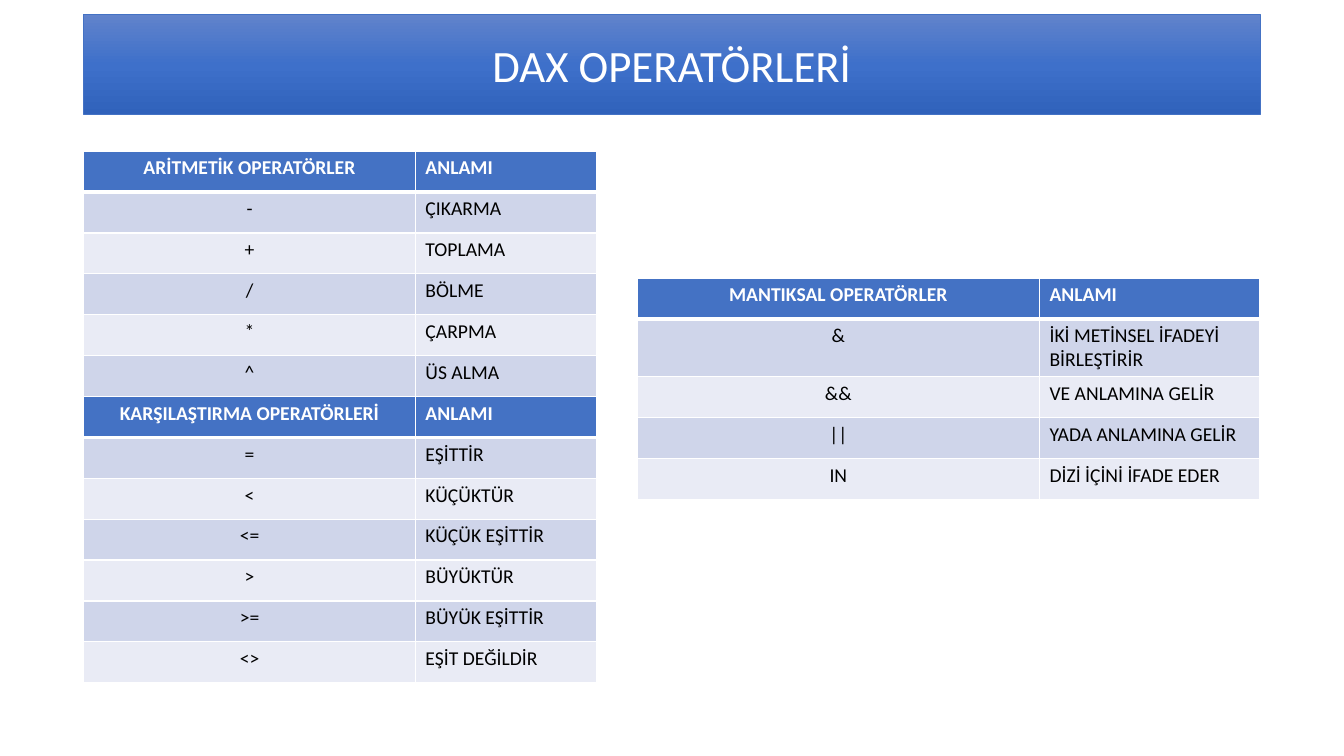
from copy import deepcopy

from pptx import Presentation
from pptx.dml.color import RGBColor
from pptx.enum.shapes import MSO_SHAPE
from pptx.enum.text import MSO_ANCHOR, PP_ALIGN
from pptx.oxml import parse_xml
from pptx.oxml.ns import nsdecls, qn
from pptx.util import Inches, Pt

RECTANGLE = MSO_SHAPE.RECTANGLE
MIDDLE = MSO_ANCHOR.MIDDLE
LEFT, CENTER = PP_ALIGN.LEFT, PP_ALIGN.CENTER

WHITE = RGBColor(0xFF, 0xFF, 0xFF)
BLACK = RGBColor(0, 0, 0)
BLUE = RGBColor(0x44, 0x72, 0xC4)
BANNER_COLORS = (RGBColor(0x61, 0x83, 0xCB), RGBColor(0x3E, 0x70, 0xCA), RGBColor(0x30, 0x62, 0xBB))
BANDS = (RGBColor(0xCF, 0xD5, 0xEA), RGBColor(0xE9, 0xEB, 0xF5))

MARGIN = Inches(0.83)
ROW_HEIGHT = Inches(2.84) // 7
LEFT_COLUMNS = (Inches(3.29), Inches(1.8))
RIGHT_COLUMNS = (Inches(3.99), Inches(2.18))

ARITHMETIC = [
    ("ARİTMETİK OPERATÖRLER", "ANLAMI"),
    ("-", "ÇIKARMA"),
    ("+", "TOPLAMA"),
    ("/", "BÖLME"),
    ("*", "ÇARPMA"),
    ("^", "ÜS ALMA"),
]
COMPARISON = [
    ("KARŞILAŞTIRMA OPERATÖRLERİ", "ANLAMI"),
    ("=", "EŞİTTİR"),
    ("<", "KÜÇÜKTÜR"),
    ("<=", "KÜÇÜK EŞİTTİR"),
    (">", "BÜYÜKTÜR"),
    (">=", "BÜYÜK EŞİTTİR"),
    ("<>", "EŞİT DEĞİLDİR"),
]
LOGICAL = [
    ("MANTIKSAL OPERATÖRLER", "ANLAMI"),
    ("&", "İKİ METİNSEL İFADEYİ BİRLEŞTİRİR"),
    ("&&", "VE ANLAMINA GELİR"),
    ("||", "YADA ANLAMINA GELİR"),
    ("IN", "DİZİ İÇİNİ İFADE EDER"),
]


def write(frame, text, size=14, color=BLACK, bold=False, align=LEFT, font="Calibri"):
    para = frame.paragraphs[0]
    para.alignment = align
    span = para.add_run()
    span.text = text
    span.font.name = font
    span.font.size = Pt(size)
    span.font.bold = bold
    span.font.color.rgb = color


def add_border(cell, side, width):
    cell._tc.get_or_add_tcPr().append(parse_xml(
        f'<a:{side} {nsdecls("a")} w="{Pt(width)}"><a:solidFill>'
        f'<a:srgbClr val="{WHITE}"/></a:solidFill></a:{side}>'))


class SlideBuilder:
    def __init__(self, deck):
        self.slide = deck.slides.add_slide(deck.slide_layouts[6])

    def banner(self, text, left, top, width, height):
        box = self.slide.shapes.add_shape(RECTANGLE, left, top, width, height)
        box.shadow.inherit = False
        box.fill.gradient()
        stops = box._element.spPr.find(qn("a:gradFill")).find(qn("a:gsLst"))
        stops.append(deepcopy(stops[-1]))
        for index, (stop, color) in enumerate(zip(box.fill.gradient_stops, BANNER_COLORS)):
            stop.position = index / 2
            stop.color.rgb = color
        box.fill.gradient_angle = 270
        box.line.color.rgb = BLUE
        box.line.width = Pt(0.5)
        box.text_frame.word_wrap = True
        box.text_frame.vertical_anchor = MIDDLE
        write(box.text_frame, text, size=32, color=WHITE, align=CENTER)

    def table(self, rows, left, top, columns):
        height = ROW_HEIGHT * len(rows)
        table = self.slide.shapes.add_table(
            len(rows), len(columns), left, top, sum(columns), height).table
        for column, width in zip(table.columns, columns):
            column.width = width
        for row, texts in enumerate(rows):
            table.rows[row].height = ROW_HEIGHT
            for column, text in enumerate(texts):
                self.fill_cell(table.cell(row, column), text, row, CENTER if column == 0 else LEFT)

    def fill_cell(self, cell, text, row, align):
        header = row == 0
        widths = {"lnL": 1, "lnR": 1, "lnT": 3 if row == 1 else 1, "lnB": 3 if header else 1}
        for side, width in widths.items():
            add_border(cell, side, width)
        cell.fill.solid()
        cell.fill.fore_color.rgb = BLUE if header else BANDS[(row - 1) % 2]
        write(cell.text_frame, text, color=WHITE if header else BLACK, bold=header, align=align)


deck = Presentation()
deck.slide_width, deck.slide_height = Inches(13.33), Inches(7.5)
page = SlideBuilder(deck)
page.banner("DAX OPERATÖRLERİ", MARGIN, Inches(0.14), Inches(11.67), Inches(1))
page.table(ARITHMETIC, MARGIN, Inches(1.5), LEFT_COLUMNS)
page.table(COMPARISON, MARGIN, Inches(1.5) + ROW_HEIGHT * len(ARITHMETIC), LEFT_COLUMNS)
page.table(LOGICAL, Inches(6.32), Inches(2.76), RIGHT_COLUMNS)
deck.save("out.pptx")
